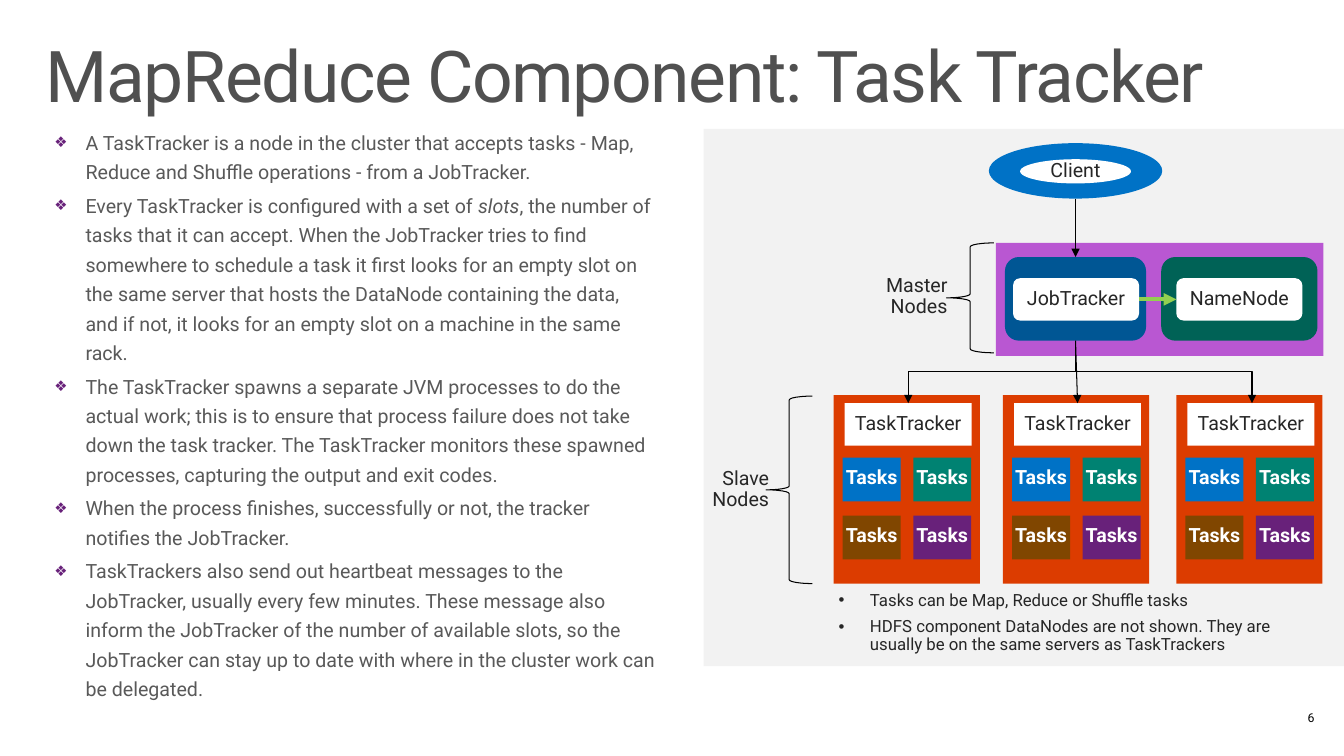
from dataclasses import dataclass
from typing import Any

from lxml.etree import SubElement
from pptx import Presentation
from pptx.dml.color import RGBColor
from pptx.enum.shapes import MSO_CONNECTOR as Link, MSO_SHAPE as Kind
from pptx.enum.text import MSO_ANCHOR as Anchor, MSO_AUTO_SIZE as Fit, PP_ALIGN as Align
from pptx.oxml.ns import qn
from pptx.util import Emu, Inches, Pt

CELL = Inches(0.1)  # grid: 133.33 columns by 75 rows
COLS, ROWS = 133.33, 75
FONT = "Roboto"

WHITE = RGBColor(0xFF, 0xFF, 0xFF)
BLACK = RGBColor(0x00, 0x00, 0x00)
INK = RGBColor(0x26, 0x26, 0x26)
SLATE = RGBColor(0x50, 0x50, 0x50)
GREY = RGBColor(0x59, 0x59, 0x59)
PALE = RGBColor(0xF2, 0xF2, 0xF2)
MAUVE = RGBColor(0xB9, 0x57, 0xD2)
NAVY = RGBColor(0x00, 0x56, 0x94)
BLUE = RGBColor(0x00, 0x72, 0xC6)
PINE = RGBColor(0x00, 0x62, 0x56)
TEAL = RGBColor(0x00, 0x82, 0x72)
BROWN = RGBColor(0x80, 0x46, 0x00)
PLUM = RGBColor(0x68, 0x21, 0x7A)
RUST = RGBColor(0xDC, 0x3C, 0x00)
LIME = RGBColor(0x92, 0xD0, 0x50)


@dataclass(frozen=True)
class Box:
    """A place on the grid, in columns and rows."""
    x: float
    y: float
    w: float
    h: float

    def spans(self) -> list[Emu]:
        return [grid(n) for n in (self.x, self.y, self.w, self.h)]


@dataclass(frozen=True)
class Style:
    size: float
    color: RGBColor
    bold: bool = False
    align: Align = Align.LEFT
    lines: Any = 0.9
    after: float = 0
    mark: str = ""
    tint: RGBColor | None = None
    tight: int = 0


@dataclass(frozen=True)
class Block:
    box: Box
    fill: RGBColor
    kind: Kind = Kind.RECTANGLE
    text: str = ""


TITLE = Style(51, SLATE, tight=-100)
PAGE = Style(8.8, BLACK, align=Align.RIGHT, lines=1.0)
LABEL = Style(14, INK, align=Align.CENTER, after=6)
TASK = Style(14, WHITE, bold=True, align=Align.CENTER)
SIDE = Style(14, INK, align=Align.RIGHT, after=6)
NOTE = Style(12, INK, after=6, mark="•")
BODY = Style(14, GREY, lines=Pt(21), after=3, mark="❖", tint=PLUM)

# A piece between asterisks is in italics.
POINTS = [
    "A TaskTracker is a node in the cluster that accepts tasks - Map, Reduce and Shuffle "
    "operations - from a JobTracker.",
    "Every TaskTracker is configured with a set of *slots*, the number of tasks that it can "
    "accept. When the JobTracker tries to find somewhere to schedule a task it first looks for "
    "an empty slot on the same server that hosts the DataNode containing the data, and if not, "
    "it looks for an empty slot on a machine in the same rack.",
    "The TaskTracker spawns a separate JVM processes to do the actual work; this is to ensure "
    "that process failure does not take down the task tracker. The TaskTracker monitors these "
    "spawned processes, capturing the output and exit codes.",
    "When the process finishes, successfully or not, the tracker notifies the JobTracker.",
    "TaskTrackers also send out heartbeat messages to the JobTracker, usually every few minutes. "
    "These message also inform the JobTracker of the number of available slots, so "
    "the JobTracker can stay up to date with where in the cluster work can be delegated.",
]
NOTES = [
    "Tasks can be Map, Reduce or Shuffle tasks",
    "HDFS component DataNodes are not shown. They are usually be on the same servers as "
    "TaskTrackers",
]


def grid(n: float) -> Emu:
    return Emu(round(n * CELL))


def put(item: Any, vals: dict[str, Any]) -> None:
    for key, val in vals.items():
        setattr(item, key, val)


def pads(x: float, y: float) -> dict[str, Any]:
    """Frame margins, in cells, for the sides and for top and bottom."""
    return dict(margin_left=grid(x), margin_right=grid(x),
                margin_top=grid(y), margin_bottom=grid(y))


def mark(para: Any, style: Style) -> None:
    """Hang a bullet in front of the paragraph."""
    props = para._p.get_or_add_pPr()
    put_in = {"marL": str(grid(3.1)), "indent": str(-grid(3.1))}
    for key, val in put_in.items():
        props.set(key, val)
    if style.tint is not None:
        SubElement(SubElement(props, qn("a:buClr")), qn("a:srgbClr"), val=str(style.tint))
        SubElement(props, qn("a:buSzPct"), val="75000")
    SubElement(props, qn("a:buFont"), typeface="Arial")
    SubElement(props, qn("a:buChar"), char=style.mark)


def write(shape: Any, lines: list[str], style: Style, **form: Any) -> None:
    frame = shape.text_frame
    put(frame, {"word_wrap": True, "vertical_anchor": Anchor.TOP, **form})
    for n, line in enumerate(lines):
        para = frame.add_paragraph() if n else frame.paragraphs[0]
        if style.mark:
            mark(para, style)
        put(para, dict(alignment=style.align, line_spacing=style.lines,
                       space_after=Pt(style.after)))
        for part, piece in enumerate(line.split("*")):
            run = para.add_run()
            run.text = piece
            put(run.font, dict(name=FONT, size=Pt(style.size), bold=style.bold,
                               italic=part % 2 == 1))
            run.font.color.rgb = style.color
            if style.tight:
                run._r.get_or_add_rPr().set("spc", str(style.tight))


def note(tree: Any, box: Box, lines: list[str], style: Style, **form: Any) -> None:
    write(tree.add_textbox(*box.spans()), lines, style, **form)


def draw(tree: Any, block: Block) -> Any:
    shape = tree.add_shape(block.kind, *block.box.spans())
    shape.shadow.inherit = False
    shape.fill.solid()
    shape.fill.fore_color.rgb = block.fill
    shape.line.fill.background()
    if block.text == "Tasks":
        write(shape, [block.text], TASK, **pads(0, 1))
    elif block.text:
        write(shape, [block.text], LABEL, word_wrap=False,
              vertical_anchor=Anchor.MIDDLE, **pads(1, 1))
    return shape


def brace(tree: Any, box: Box) -> None:
    shape = tree.add_shape(Kind.LEFT_BRACE, *box.spans())
    shape.shadow.inherit = False
    shape.fill.background()
    shape.line.color.rgb = BLACK
    shape.line.width = Pt(0.75)


def arrow(tree: Any, ends: tuple[float, ...], color: RGBColor = BLACK,
          width: float = 0.75, kind: Link = Link.STRAIGHT) -> Any:
    line = tree.add_connector(kind, *[grid(n) for n in ends])
    line.line.color.rgb = color
    line.line.width = Pt(width)
    SubElement(line.line._get_or_add_ln(), qn("a:tailEnd"), type="triangle")
    SubElement(line._element.spPr, qn("a:effectLst"))
    return line


def bend(tree: Any, x: float, y: float, to_x: float, to_y: float) -> None:
    """An elbow that leaves downwards: a level elbow turned by a quarter."""
    mid_x, mid_y = (x + to_x) / 2, (y + to_y) / 2
    run, rise = (to_y - y) / 2, abs(to_x - x) / 2
    if to_x > x:
        run, turn = -run, 270
    else:
        turn = 90
    line = arrow(tree, (mid_x - run, mid_y - rise, mid_x + run, mid_y + rise), kind=Link.ELBOW)
    line._element.spPr.find(qn("a:xfrm")).set("rot", str(turn * 60000))


def worker(tree: Any, x: float) -> Any:
    """One slave node: a tracker above two by two tasks."""
    draw(tree, Block(Box(x, 39.2, 14.5, 18.7), RUST))
    label = draw(tree, Block(Box(x + 1.1, 40, 12.6, 4.2), WHITE, text="TaskTracker"))
    for n, fill in enumerate((BLUE, TEAL, BROWN, PLUM)):
        row, col = divmod(n, 2)
        draw(tree, Block(Box(x + 0.9 + 7 * col, 45.4 + 5.75 * row, 5.75, 4.35), fill, text="Tasks"))
    return label


def main() -> None:
    deck = Presentation()
    put(deck, dict(slide_width=grid(COLS), slide_height=grid(ROWS)))
    tree = deck.slides.add_slide(deck.slide_layouts[6]).shapes

    draw(tree, Block(Box(69.8, 12.8, 63.53, 53.3), PALE))
    note(tree, Box(2.9, 3.1, 127.4, 10.1), ["MapReduce Component: Task Tracker"], TITLE,
         **pads(1.6, 1))
    note(tree, Box(124.3, 70.4, 6.1, 1.5), ["6"], PAGE, vertical_anchor=Anchor.MIDDLE,
         **pads(0, 0))

    round_box = Kind.ROUNDED_RECTANGLE
    draw(tree, Block(Box(98.8, 24.1, 32.5, 11.2), MAUVE))
    job = draw(tree, Block(Box(99.7, 25.5, 14, 8.3), NAVY, round_box))
    draw(tree, Block(Box(115.2, 25.5, 15.5, 8.3), PINE, round_box))
    left, right = [draw(tree, Block(Box(x, 27.6, 12.5, 4.2), WHITE, round_box, text))
                   for x, text in ((100.5, "JobTracker"), (116.7, "NameNode"))]
    draw(tree, Block(Box(98.1, 14.2, 17.2, 5.5), BLUE, Kind.OVAL))
    draw(tree, Block(Box(101.2, 15.8, 11, 2.4), WHITE, Kind.OVAL, "Client"))
    labels = [worker(tree, x) for x in (82.7, 99.5, 116.7)]

    arrow(tree, (106.7, 19.7, 106.7, 25.5)).end_connect(job, 0)
    link = arrow(tree, (113, 29.7, 116.7, 29.7), LIME, 3)
    link.begin_connect(left, 3)
    link.end_connect(right, 1)
    for to_x in (90.1, 124.2):
        bend(tree, 106.7, 33.8, to_x, 40)
    drop = arrow(tree, (106.7, 33.8, 106.7, 40))
    drop.begin_connect(job, 2)
    drop.end_connect(labels[1], 0)

    note(tree, Box(81.2, 57.1, 48.1, 9), NOTES, NOTE, **pads(2, 1.6))
    for curl, box, text in (
        (Box(76, 39.3, 4.6, 18.6), Box(69.8, 40.9, 6.5, 15.3), "Slave Nodes"),
        (Box(93.9, 24.1, 4.7, 10.9), Box(87.5, 21.8, 6.5, 15.3), "Master Nodes"),
    ):
        brace(tree, curl)
        note(tree, box, [text], SIDE, vertical_anchor=Anchor.MIDDLE, **pads(0, 1.6))
    note(tree, Box(4.4, 11.9, 61.8, 58.7), POINTS, BODY, auto_size=Fit.SHAPE_TO_FIT_TEXT)

    deck.save("out.pptx")


if __name__ == "__main__":
    main()
